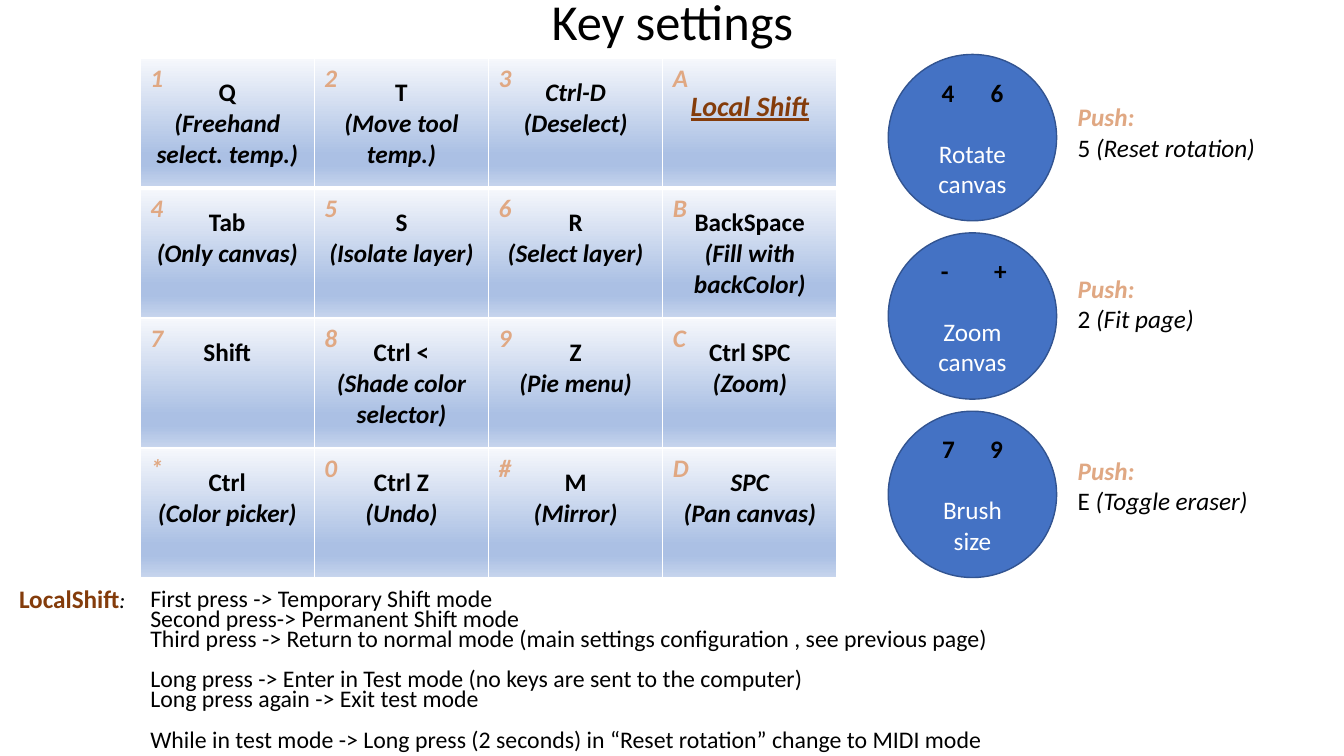
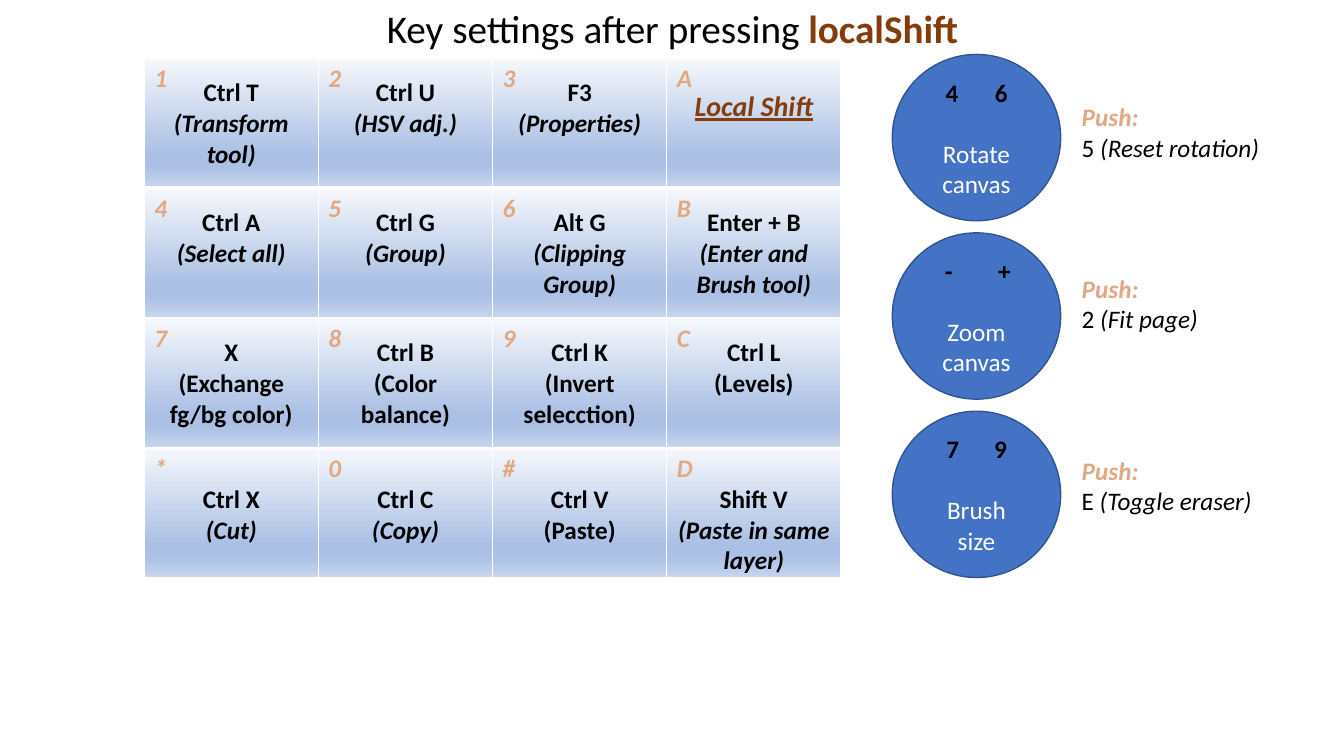
from dataclasses import dataclass, replace

import lxml.etree
import pptx
import pptx.dml.color
import pptx.enum.shapes
import pptx.enum.text
import pptx.oxml
import pptx.oxml.ns
import pptx.util

WIDE = pptx.util.Inches(13.333)
TALL = pptx.util.Inches(7.5)
FONT = "Calibri"
COLORS = {
    "ink": "000000",
    "white": "FFFFFF",
    "tag": "E0A883",
    "shift": "843C0B",
    "dial": "4472C4",
    "edge": "325491",
}
FADE = ((0, "F6F8FC"), (74, "ABC0E4"), (83, "ABC0E4"), (100, "C7D5ED"))
TAGS = ("123A", "456B", "789C", "*0#D")

GRID_X, GRID_Y = 10.43, 7.67
COL, ROW = 12.96, 17.2
DIAL_X, DIAL_Y, DIAL_STEP = 66.09, 7.2, 23.6
DIAL_W, DIAL_H = 12.53, 22
NOTE_X, NOTE_W, NOTE_H = 79.45, 16.95, 9.47


@dataclass(frozen=True)
class Style:
    size: float = 18
    color: str = "ink"
    bold: bool = False
    slant: bool = False
    under: bool = False


@dataclass(frozen=True)
class Key:
    name: str
    note: str = ""
    name_slant: bool = False
    note_slant: bool = True


@dataclass(frozen=True)
class Dial:
    left: str
    right: str
    label: str
    push: str
    hint: str
    note_y: float
    gap: float


@dataclass(frozen=True)
class Page:
    layout: int
    title: tuple
    title_y: float
    title_h: float
    shift: float
    keys: tuple
    last_pad: float


PLAIN = Style()
BOLD = Style(bold=True)
SLANT = Style(slant=True)
TAG = Style(color="tag", bold=True, slant=True)
LOCAL = Style(color="shift", bold=True)
LINK = Style(20, "shift", True, True, True)
LOCAL_KEY = Key("Local Shift")

DIALS = (
    Dial("4", "6", "Rotate canvas", "5 ", "(Reset rotation)", 12.8, 1.83),
    Dial("-", "+", "Zoom canvas", "2 ", "(Fit page)", 35.47, 2.07),
    Dial("7", "9", "Brush size", "E ", "(Toggle eraser)", 59.6, 1.78),
)

MAIN_KEYS = (
    (Key("Q", "(Freehand select. temp.)"), Key("T", "(Move tool temp.)"),
     Key("Ctrl-D", "(Deselect)", True), LOCAL_KEY),
    (Key("Tab", "(Only canvas)"), Key("S", "(Isolate layer)"),
     Key("R", "(Select layer)"), Key("BackSpace", "(Fill with backColor)")),
    (Key("Shift"), Key("Ctrl <", "(Shade color selector)"),
     Key("Z", "(Pie menu)"), Key("Ctrl SPC", "(Zoom)")),
    (Key("Ctrl", "(Color picker)"), Key("Ctrl Z", "(Undo)"),
     Key("M", "(Mirror)"), Key("SPC", "(Pan canvas)", True)),
)

SHIFT_KEYS = (
    (Key("Ctrl T", "(Transform tool)"), Key("Ctrl U", "(HSV adj.)"),
     Key("F3", "(Properties)"), LOCAL_KEY),
    (Key("Ctrl A", "(Select all)"), Key("Ctrl G", "(Group)"),
     Key("Alt G", "(Clipping Group)"), Key("Enter + B", "(Enter and Brush tool)")),
    (Key("X", "(Exchange fg/bg color)", note_slant=False),
     Key("Ctrl B", "(Color balance)", note_slant=False),
     Key("Ctrl K", "(Invert selecction)", note_slant=False),
     Key("Ctrl L", "(Levels)", note_slant=False)),
    (Key("Ctrl X", "(Cut)"), Key("Ctrl C", "(Copy)"),
     Key("Ctrl V", "(Paste)", note_slant=False), Key("Shift V", "(Paste in same layer)")),
)

PAGES = (
    Page(1, (("Key settings", Style(36)),), 0.4, 5.73, 0, MAIN_KEYS, 2.6),
    Page(5, (("Key settings after pressing ", Style(28)),
             ("localShift", replace(LOCAL, size=28))), 0.53, 7.2, 0.3, SHIFT_KEYS, 4.8),
)

MODES = (
    ("First press -> Temporary Shift mode", 0),
    ("Second press-> Permanent Shift mode", 0),
    ("Third press -> Return to normal mode (main settings configuration , see previous page)", 0),
    ("Long press -> Enter in Test mode (no keys are sent to the computer)", 14.5),
    ("Long press again -> Exit test mode", 0),
    ("While in test mode -> Long press (2 seconds) in “Reset rotation” change to MIDI mode", 14.5),
)


def across(share: float) -> int:
    return int(WIDE * share / 100)


def down(share: float) -> int:
    return int(TALL * share / 100)


def box(x: float, y: float, w: float, h: float) -> tuple:
    return across(x), down(y), across(w), down(h)


def place(shape, *area: float) -> None:
    shape.left, shape.top, shape.width, shape.height = box(*area)


def tint(name: str) -> pptx.dml.color.RGBColor:
    return pptx.dml.color.RGBColor.from_string(COLORS[name])


def node(parent, tag: str, **attrs: str):
    child = lxml.etree.SubElement(parent, pptx.oxml.ns.qn(tag))
    for name, value in attrs.items():
        child.set(name, value)
    return child


def write(para, *parts: tuple) -> None:
    for text, style in parts:
        run = para.add_run()
        run.text = text
        font = run.font
        font.name, font.size = FONT, pptx.util.Pt(style.size)
        font.bold, font.italic, font.underline = style.bold, style.slant, style.under
        font.color.rgb = tint(style.color)


def draw_title(slide, page: Page) -> None:
    title = slide.shapes.title
    place(title, 6.9, page.title_y, 86.27, page.title_h)
    frame = title.text_frame
    frame.auto_size = pptx.enum.text.MSO_AUTO_SIZE.NONE
    frame.vertical_anchor = pptx.enum.text.MSO_ANCHOR.MIDDLE
    para = frame.paragraphs[0]
    para.alignment = pptx.enum.text.PP_ALIGN.CENTER
    para.line_spacing = 0.9
    write(para, *page.title)


def add_grid(slide, shift: float):
    area = box(GRID_X + shift, GRID_Y, 4 * COL, 4 * ROW)
    table = slide.shapes.add_table(4, 4, *area).table
    table.horz_banding = False
    for col in table.columns:
        col.width = across(COL)
    for row in table.rows:
        row.height = down(ROW)
    return table


def shade(cell, first: bool) -> None:
    props = cell._tc.get_or_add_tcPr()
    for side in "LRTB":
        points = 3 if first and side == "B" else 1
        edge = node(props, f"a:ln{side}", w=str(pptx.util.Pt(points)))
        node(node(edge, "a:solidFill"), "a:srgbClr", val=COLORS["white"])
    fill = node(props, "a:gradFill", rotWithShape="1")
    stops = node(fill, "a:gsLst")
    for share, color in FADE:
        node(node(stops, "a:gs", pos=str(share * 1000)), "a:srgbClr", val=color)
    node(fill, "a:lin", ang="5400000", scaled="0")


def draw_tags(slide, shift: float) -> None:
    table = add_grid(slide, shift)
    for r, tags in enumerate(TAGS):
        for c, tag in enumerate(tags):
            cell = table.cell(r, c)
            shade(cell, r == 0)
            write(cell.text_frame.paragraphs[0], (tag, TAG))


def draw_keys(slide, page: Page) -> None:
    table = add_grid(slide, page.shift)
    for r, keys in enumerate(page.keys):
        for c, key in enumerate(keys):
            cell = table.cell(r, c)
            cell.fill.background()
            local = key is LOCAL_KEY
            pad = 4.27 if local else page.last_pad if r == 3 else 2.6
            cell.margin_top, cell.margin_bottom = down(pad), 0
            frame = cell.text_frame
            name = LINK if local else replace(BOLD, slant=key.name_slant)
            write(frame.paragraphs[0], (key.name, name))
            if key.note:
                write(frame.add_paragraph(), (key.note, replace(BOLD, slant=key.note_slant)))
            for para in frame.paragraphs:
                para.alignment = pptx.enum.text.PP_ALIGN.CENTER


def add_text(slide, area: tuple, *lines: tuple) -> None:
    frame = slide.shapes.add_textbox(*box(*area)).text_frame
    frame.word_wrap = True
    for i, parts in enumerate(lines):
        write(frame.add_paragraph() if i else frame.paragraphs[0], *parts)


def draw_dial(slide, dial: Dial, index: int, shift: float) -> None:
    area = box(DIAL_X + shift, DIAL_Y + index * DIAL_STEP, DIAL_W, DIAL_H)
    disc = slide.shapes.add_shape(pptx.enum.shapes.MSO_SHAPE.OVAL, *area)
    disc.shadow.inherit = False
    disc.fill.solid()
    disc.fill.fore_color.rgb = tint("dial")
    disc.line.color.rgb = tint("edge")
    disc.line.width = pptx.util.Pt(1)
    frame = disc.text_frame
    frame.word_wrap = True
    frame.vertical_anchor = pptx.enum.text.MSO_ANCHOR.MIDDLE
    ends = frame.paragraphs[0]
    ends.alignment = pptx.enum.text.PP_ALIGN.LEFT
    middle = int(area[2] * 0.71 / 2) - frame.margin_left
    stops = node(ends._p.get_or_add_pPr(), "a:tabLst")
    for side in (-1, 1):
        node(stops, "a:tab", pos=str(middle + side * across(dial.gap)), algn="ctr")
    write(ends, (f"\t{dial.left}\t{dial.right}", BOLD))
    label = frame.add_paragraph()
    label.alignment = pptx.enum.text.PP_ALIGN.CENTER
    label.space_before = pptx.util.Pt(22)
    write(label, (dial.label, Style(color="white")))
    add_text(slide, (NOTE_X + shift, dial.note_y, NOTE_W, NOTE_H),
             (("Push:", TAG),), ((dial.push, PLAIN), (dial.hint, SLANT)))


def draw_modes(slide) -> None:
    body = slide.placeholders[1]
    place(body, GRID_X, 77.07, 72.24, 23.6)
    frame = body.text_frame
    frame.auto_size = pptx.enum.text.MSO_AUTO_SIZE.NONE
    frame.vertical_anchor = pptx.enum.text.MSO_ANCHOR.MIDDLE
    for i, (text, gap) in enumerate(MODES):
        para = frame.add_paragraph() if i else frame.paragraphs[0]
        para.line_spacing = 0.7
        para.space_before = pptx.util.Pt(gap)
        props = para._p.get_or_add_pPr()
        props.set("marL", "0")
        props.set("indent", "0")
        node(props, "a:buNone")
        write(para, (text, Style(17)))
    add_text(slide, (0.68, 76.53, 9.75, 5.33),
             (("LocalShift", LOCAL), (":", Style(16, slant=True))))


def main() -> None:
    deck = pptx.Presentation()
    deck.slide_width, deck.slide_height = WIDE, TALL
    for page in PAGES:
        slide = deck.slides.add_slide(deck.slide_layouts[page.layout])
        draw_tags(slide, page.shift)
        draw_title(slide, page)
        draw_keys(slide, page)
        for i, dial in enumerate(DIALS):
            draw_dial(slide, dial, i, page.shift)
        if page.layout == 1:
            draw_modes(slide)
    deck.save("out.pptx")


if __name__ == "__main__":
    main()
